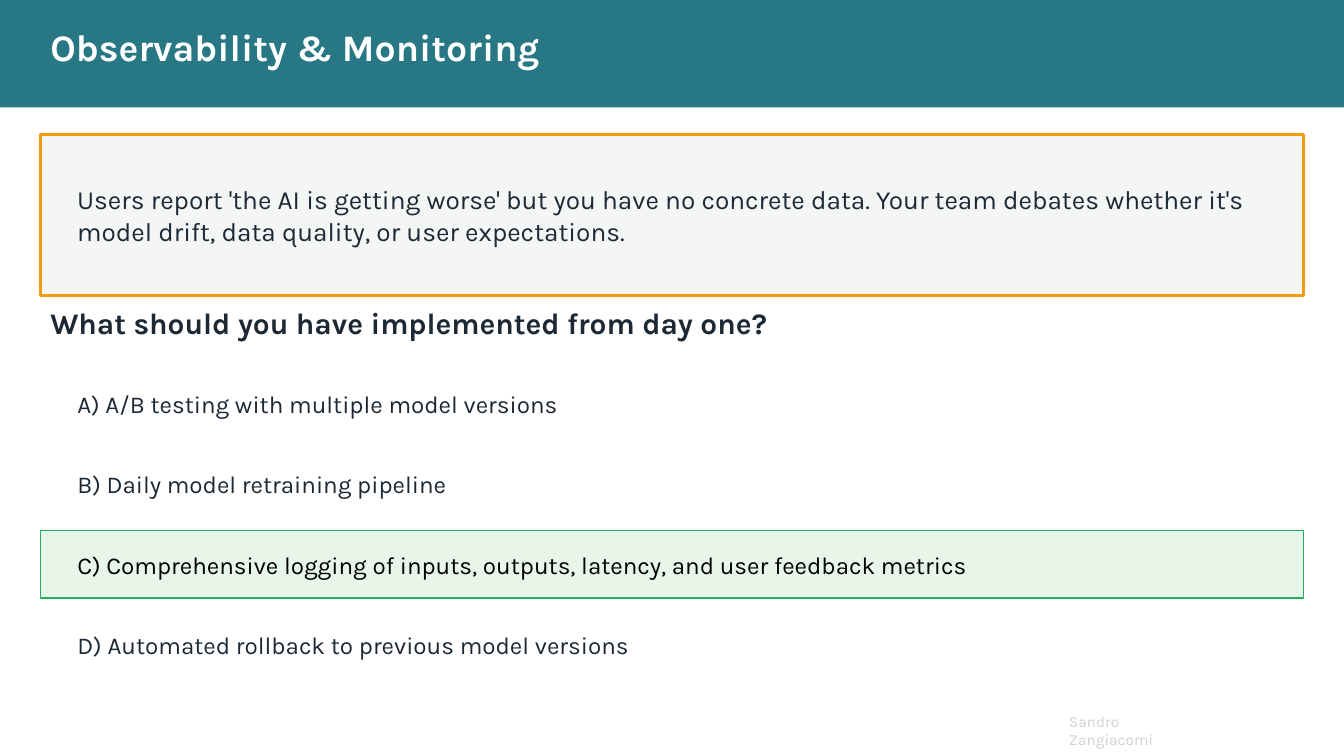
from pptx import Presentation
from pptx.dml.color import RGBColor
from pptx.enum.shapes import MSO_SHAPE
from pptx.enum.text import MSO_ANCHOR, MSO_AUTO_SIZE, PP_ALIGN
from pptx.oxml.ns import qn
from pptx.util import Inches, Pt

RECT = MSO_SHAPE.RECTANGLE
MIDDLE, TOP = MSO_ANCHOR.MIDDLE, MSO_ANCHOR.TOP
LEFT = PP_ALIGN.LEFT
FIXED = MSO_AUTO_SIZE.NONE

FONT = "Karla"
COLORS = {
    "teal": "277884", "white": "FFFFFF", "ink": "1C2833", "black": "000000",
    "pale": "F4F6F6", "orange": "F39C12", "mint": "E8F5E9", "green": "27AE60",
    "grey": "D1D1D1",
}
WIDTH, HEIGHT = Inches(13.33), Inches(7.5)
CELL = WIDTH / 100  # square grid, 100 columns across
EDGE, INNER = 3, 5  # left columns of frames and of their text
PITCH = 6           # rows from one option to the next
LINE = 21           # option line height in points

OPTIONS = [
    "A) A/B testing with multiple model versions",
    "B) Daily model retraining pipeline",
    "C) Comprehensive logging of inputs, outputs, latency, and user feedback metrics",
    "D) Automated rollback to previous model versions",
]
ANSWER = 2
FIRST = 30          # row at the middle of the first option


def color(name):
    return RGBColor.from_string(COLORS[name])


def grid(*cells):
    return [round(cell * CELL) for cell in cells]


def add_panel(slide, box, fill, line=None, weight=1):
    panel = slide.shapes.add_shape(RECT, *grid(*box))
    panel.shadow.inherit = False
    panel.fill.solid()
    panel.fill.fore_color.rgb = color(fill)
    if line:
        panel.line.color.rgb = color(line)
        panel.line.width = Pt(weight)
    else:
        panel.line.fill.background()


def style(para, size, ink="ink", bold=False):
    para.alignment = LEFT
    para.font.name = FONT
    para.font.size = Pt(size)
    para.font.bold = bold
    para.font.color.rgb = color(ink)


def set_text(shape, text, size, anchor=MIDDLE, **look):
    frame = shape.text_frame
    frame.word_wrap = True
    frame.auto_size = FIXED
    frame.vertical_anchor = anchor
    frame.text = text
    for para in frame.paragraphs:
        style(para, size, **look)


def add_text(slide, box, text, size, **look):
    set_text(slide.shapes.add_textbox(*grid(*box)), text, size, **look)


def place(slide, holder, box):
    """Move a placeholder onto the grid and in front of the panels."""
    holder.left, holder.top, holder.width, holder.height = grid(*box)
    slide.shapes._spTree.append(holder.element)


def fill_list(holder):
    set_text(holder, "\n".join(OPTIONS), 17.3)
    gap = PITCH * CELL / Pt(1) - LINE
    for i, para in enumerate(holder.text_frame.paragraphs):
        props = para._p.get_or_add_pPr()
        props.set("marL", "0")
        props.set("indent", "0")
        para.line_spacing = Pt(LINE)
        para.space_before = Pt(gap if i else 0)
        props.append(props.makeelement(qn("a:buNone"), {}))
        # default run properties belong after the bullet element
        props.append(para.font._element)
        if i == ANSWER:
            para.font.color.rgb = color("black")


def main():
    deck = Presentation()
    deck.slide_width, deck.slide_height = WIDTH, HEIGHT
    slide = deck.slides.add_slide(deck.slide_layouts[1])
    title, body = slide.placeholders

    add_text(slide, (78.8, 52.6, 11.2, 2.2), "Sandro Zangiacomi", 11,
             anchor=TOP, ink="grey")
    add_panel(slide, (0, 0, 100, 8), "teal")
    place(slide, title, (EDGE, 1.5, 75, 4))
    set_text(title, "Observability & Monitoring", 26.7, ink="white", bold=True)

    add_panel(slide, (EDGE, 10, 94, 12), "pale", "orange", 2)
    add_text(slide, (INNER, 11, 90, 10),
             "Users report 'the AI is getting worse' but you have no concrete "
             "data. Your team debates whether it's model drift, data quality, "
             "or user expectations.", 18.7)
    add_text(slide, (EDGE, 22, 94, 4),
             "What should you have implemented from day one?", 21.3, bold=True)

    middle = FIRST + ANSWER * PITCH
    add_panel(slide, (EDGE, middle - 2.5, 94, 5), "mint", "green")
    place(slide, body, (INNER, FIRST - PITCH / 2, 90, PITCH * len(OPTIONS)))
    fill_list(body)

    deck.save("out.pptx")


if __name__ == "__main__":
    main()
